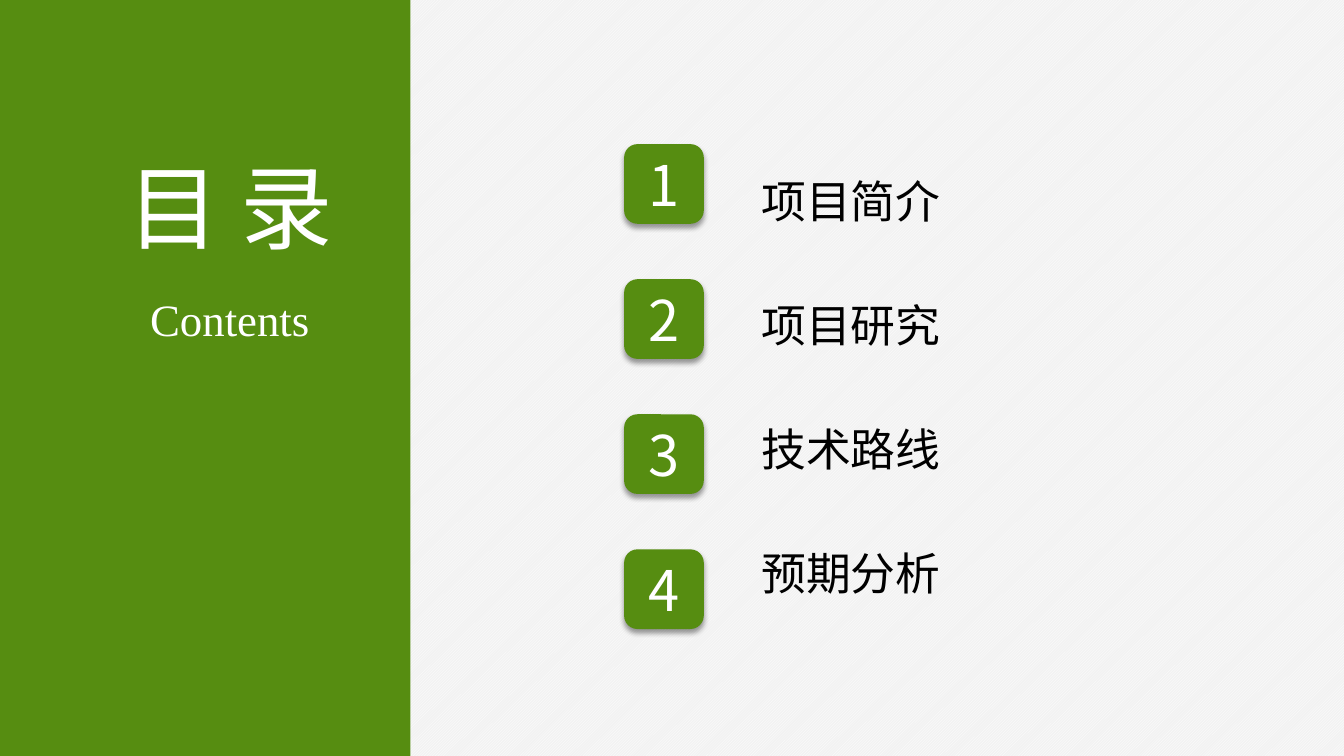
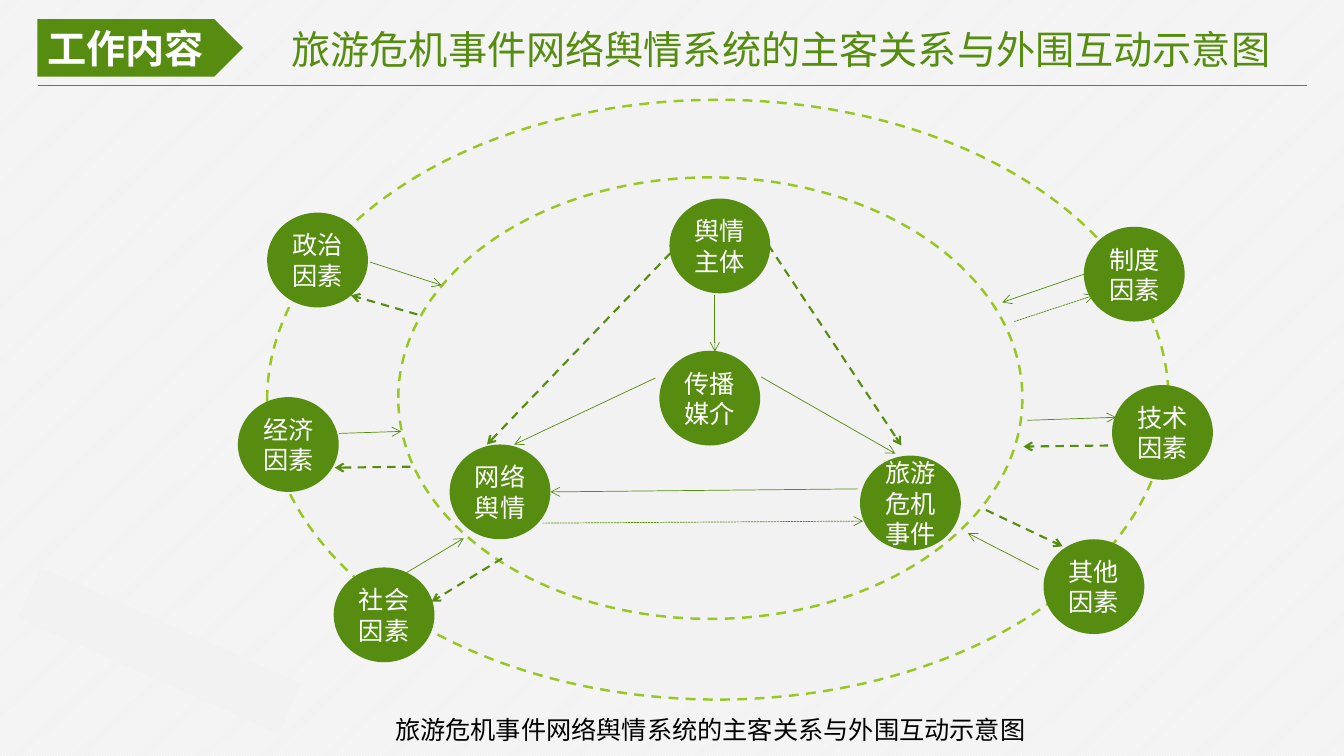
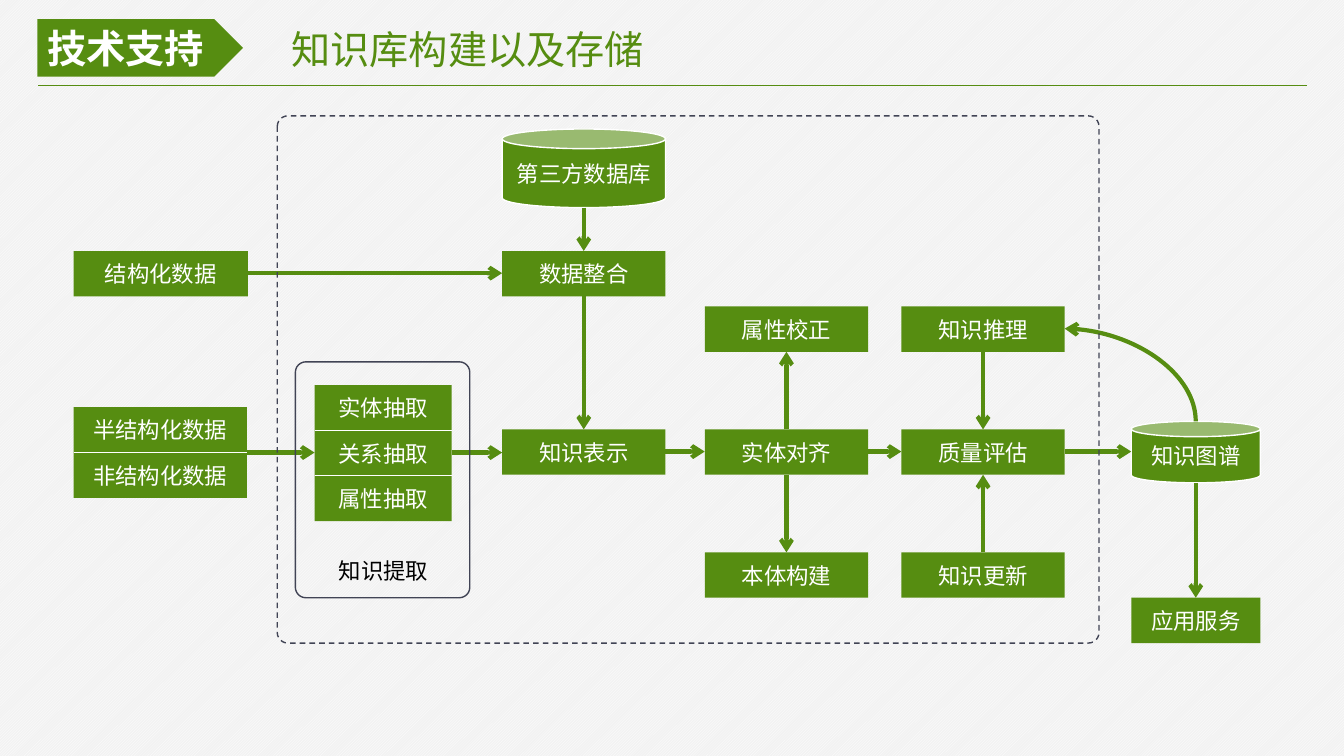
from dataclasses import dataclass
from itertools import pairwise
from typing import Optional

from lxml.etree import SubElement
from pptx import Presentation
from pptx.dml.color import RGBColor
from pptx.enum.dml import MSO_LINE, MSO_PATTERN
from pptx.enum.shapes import MSO_CONNECTOR, MSO_SHAPE
from pptx.enum.text import MSO_ANCHOR, MSO_AUTO_SIZE, PP_ALIGN
from pptx.oxml.ns import qn
from pptx.util import Emu, Pt

PX = 9144
GREEN, LIME, PALE, WHITE, BLACK, SLATE = (
    "568D11", "98C723", "F2F2F2", "FFFFFF", "000000", "414455")
CJK = "Noto Sans CJK SC"
CELL_H = 45


@dataclass(frozen=True)
class Box:
    """A rectangle in px."""
    left: int
    top: int
    width: int
    height: int

    @property
    def right(self) -> int:
        """Right edge."""
        return self.left + self.width

    @property
    def bottom(self) -> int:
        """Bottom edge."""
        return self.top + self.height

    @property
    def cx(self) -> int:
        """Horizontal centre."""
        return self.left + self.width // 2

    @property
    def cy(self) -> int:
        """Vertical centre."""
        return self.top + self.height // 2

    def emu(self) -> tuple:
        """Left, top, width and height in EMU."""
        return tuple(px(v) for v in (self.left, self.top, self.width, self.height))


@dataclass(frozen=True)
class Stroke:
    """Colour, width in points and dash of a line."""
    color: str
    width: float
    dash: Optional[MSO_LINE] = None


@dataclass(frozen=True)
class Node:
    """A labelled shape of a diagram."""
    label: str
    box: Box
    kind: MSO_SHAPE = MSO_SHAPE.RECTANGLE


THIN = Stroke(GREEN, 0.5)
DOTTED = Stroke(GREEN, 0.5, MSO_LINE.SQUARE_DOT)
DASHED = Stroke(GREEN, 1.5, MSO_LINE.DASH)
RING = Stroke(LIME, 1.75, MSO_LINE.DASH)
FLOW = Stroke(GREEN, 3)
DIVIDER = Stroke(WHITE, 0.5)


def px(value: int) -> Emu:
    """Turn px into EMU."""
    return Emu(value * PX)


def rgb(color: str) -> RGBColor:
    """Turn a hex string into a colour."""
    return RGBColor.from_string(color)


def write(sp, text: str, *, size: int, color: str = WHITE, font: str = CJK,
          bold: bool = False, align=PP_ALIGN.CENTER, wrap: bool = True,
          inset: int = 10, gap: int = 0) -> None:
    """Fill a shape with formatted text, one paragraph a line."""
    tf = sp.text_frame
    tf.auto_size = MSO_AUTO_SIZE.NONE
    tf.word_wrap = wrap
    tf.vertical_anchor = MSO_ANCHOR.MIDDLE
    tf.margin_left = tf.margin_right = px(inset)
    tf.margin_top = tf.margin_bottom = 0
    for i, line in enumerate(text.split("\n")):
        p = tf.add_paragraph() if i else tf.paragraphs[0]
        p.alignment = align
        p.space_before = Pt(gap if i else 0)
        r = p.add_run()
        r.text = line
        r.font.size, r.font.bold, r.font.name = Pt(size), bold, font
        r.font.color.rgb = rgb(color)
        SubElement(r.font._element, qn("a:ea"), typeface=CJK)


def set_stroke(line, stroke: Stroke) -> None:
    """Format a line."""
    line.color.rgb = rgb(stroke.color)
    line.width = Pt(stroke.width)
    if stroke.dash:
        line.dash_style = stroke.dash


def shape(s, kind, box: Box, fill: Optional[str] = GREEN,
          stroke: Optional[Stroke] = None):
    """Draw a preset shape without shadow."""
    sp = s.shapes.add_shape(kind, *box.emu())
    sp.shadow.inherit = False
    if fill:
        sp.fill.solid()
        sp.fill.fore_color.rgb = rgb(fill)
    else:
        sp.fill.background()
    if stroke:
        set_stroke(sp.line, stroke)
    else:
        sp.line.fill.background()
    return sp


def connect(s, x1: int, y1: int, x2: int, y2: int, stroke: Stroke,
            end: Optional[str] = None, kind=MSO_CONNECTOR.STRAIGHT):
    """Draw a connector, with an arrowhead at headEnd or tailEnd."""
    c = s.shapes.add_connector(kind, px(x1), px(y1), px(x2), px(y2))
    set_stroke(c.line, stroke)
    sp_pr = c._element.spPr
    if end:
        SubElement(sp_pr.find(qn("a:ln")), qn(f"a:{end}"), type="arrow")
    SubElement(sp_pr, qn("a:effectLst"))
    return c


def label(s, box: Box, text: str, **fmt) -> None:
    """Add a text box."""
    write(s.shapes.add_textbox(*box.emu()), text, **fmt)


def place(sp, box: Box) -> None:
    """Move a placeholder."""
    sp.left, sp.top, sp.width, sp.height = box.emu()


def add_soft_shadow(sp) -> None:
    """Give a shape a soft shadow straight below it."""
    effects = sp._element.spPr.find(qn("a:effectLst"))
    shadow = SubElement(effects, qn("a:outerShdw"), blurRad=str(Pt(4)),
                        dist=str(Pt(3)), dir="5400000", algn="t", rotWithShape="0")
    color = SubElement(shadow, qn("a:srgbClr"), val=BLACK)
    SubElement(color, qn("a:alpha"), val="40000")


def titled_slide(prs, tag: str, title: str):
    """Add a slide with a tag, a title and a rule."""
    s = prs.slides.add_slide(prs.slide_layouts[5])
    place(s.shapes.title, Box(279, 20, 1017, 57))
    write(s.shapes.title, title, size=28, color=GREEN, align=PP_ALIGN.LEFT)
    plate = shape(s, MSO_SHAPE.PENTAGON, Box(37, 19, 204, 57))
    write(plate, tag, size=28, bold=True, align=PP_ALIGN.LEFT, wrap=False)
    connect(s, 38, 85, 1296, 85, Stroke(GREEN, 1))
    return s


def contents_slide(prs) -> None:
    """Build the table of contents."""
    s = prs.slides.add_slide(prs.slide_layouts[1])
    title, body = s.placeholders
    panel = shape(s, MSO_SHAPE.RECTANGLE, Box(0, 0, 407, 750))
    title._element.addprevious(panel._element)
    place(title, Box(102, 143, 252, 121))
    write(title, "目 录", size=66, wrap=False)
    label(s, Box(138, 284, 180, 64), "Contents", size=32,
          font="Times New Roman", wrap=False)
    topics = ["项目简介", "项目研究", "技术路线", "预期分析"]
    place(body, Box(745, 151, 400, 465))
    write(body, "\n".join(topics), size=32, color=BLACK, align=PP_ALIGN.LEFT, gap=50)
    for p in body.text_frame.paragraphs:
        p_pr = p._p.get_or_add_pPr()
        p_pr.set("marL", "0")
        p_pr.set("indent", "0")
        SubElement(p_pr, qn("a:buNone"))
    for i in range(len(topics)):
        badge = shape(s, MSO_SHAPE.ROUNDED_RECTANGLE, Box(619, 143 + 134 * i, 79, 79))
        add_soft_shadow(badge)
        write(badge, str(i + 1), size=40)


def relations_slide(prs) -> None:
    """Build the diagram of actors inside two rings."""
    caption = "旅游危机事件网络舆情系统的主客关系与外围互动示意图"
    s = titled_slide(prs, "工作内容", caption)
    shape(s, MSO_SHAPE.OVAL, Box(265, 99, 894, 595), PALE, RING)
    shape(s, MSO_SHAPE.OVAL, Box(395, 176, 619, 438), None, RING)
    shape(s, MSO_SHAPE.RECTANGLE, Box(17, 618, 283, 55), PALE).rotation = 24
    actors = [
        ("舆情主体", 664, 197), ("传播媒介", 654, 348), ("网络舆情", 446, 441),
        ("旅游危机事件", 853, 452), ("政治因素", 265, 211), ("经济因素", 236, 394),
        ("社会因素", 331, 563), ("制度因素", 1075, 225), ("技术因素", 1103, 382),
        ("其他因素", 1035, 535),
    ]
    for name, left, top in actors:
        sp = shape(s, MSO_SHAPE.OVAL, Box(left, top, 100, 94))
        write(sp, name, size=18, font="Calibri", inset=5)
    arrows = {
        THIN: [
            (650, 375, 510, 441), (755, 374, 888, 450), (851, 485, 546, 488),
            (709, 293, 709, 349), (367, 260, 438, 283), (336, 430, 398, 428),
            (400, 570, 460, 534), (1084, 269, 994, 300), (1019, 417, 1107, 414),
            (1030, 565, 960, 529),
        ],
        DASHED: [
            (665, 251, 483, 441), (762, 243, 894, 442), (414, 312, 348, 293),
            (407, 463, 332, 464), (498, 554, 428, 597), (1099, 442, 1015, 443),
            (978, 506, 1054, 542),
        ],
        DOTTED: [(538, 519, 856, 517), (1006, 319, 1085, 293)],
    }
    for stroke, ends in arrows.items():
        for points in ends:
            connect(s, *points, stroke, "tailEnd")
    label(s, Box(382, 704, 822, 40), caption, size=18, color=BLACK,
          font="Calibri", align=PP_ALIGN.LEFT)


def draw_node(s, node: Node) -> None:
    """Draw a step or a store of the flow chart."""
    edge = Stroke(WHITE, 1) if node.kind == MSO_SHAPE.CAN else None
    write(shape(s, node.kind, node.box, GREEN, edge), node.label, size=16)


def draw_stack(s, names: list[str], left: int, top: int, width: int) -> Box:
    """Draw cells on top of each other with dividers and return their outline."""
    cells = [Box(left, top + CELL_H * i, width, CELL_H) for i in range(len(names))]
    for name, cell in zip(names, cells):
        draw_node(s, Node(name, cell))
    for upper, _ in pairwise(cells):
        connect(s, left, upper.bottom, upper.right, upper.bottom, DIVIDER)
    return Box(left, top, width, CELL_H * len(names))


def link(s, a: Box, b: Box) -> None:
    """Draw an arrow between boxes, upright if they share a centre line."""
    if abs(a.cx - b.cx) > 5:
        ends = a.right, a.cy, b.left, a.cy
    elif a.top < b.top:
        ends = a.cx, a.bottom, a.cx, b.top
    else:
        ends = a.cx, a.top, a.cx, b.bottom
    connect(s, *ends, FLOW, "tailEnd")


def knowledge_slide(prs) -> None:
    """Build the flow chart of the knowledge base."""
    s = titled_slide(prs, "技术支持", "知识库构建以及存储")
    merge, align, check = 498, 699, 894
    upper, main, lower = 304, 426, 548
    steps = [
        ("数据整合", merge, 249), ("知识表示", merge, main),
        ("属性校正", align, upper), ("实体对齐", align, main), ("本体构建", align, lower),
        ("知识推理", check, upper), ("质量评估", check, main), ("知识更新", check, lower),
    ]
    nodes = [Node(name, Box(x, y, 162, CELL_H)) for name, x, y in steps] + [
        Node("结构化数据", Box(73, 249, 173, CELL_H)),
        Node("第三方数据库", Box(498, 128, 162, 78), MSO_SHAPE.CAN),
        Node("知识图谱", Box(1122, 418, 128, 61), MSO_SHAPE.CAN),
        Node("应用服务", Box(1122, 593, 128, CELL_H)),
    ]
    for node in nodes:
        draw_node(s, node)
    boxes = {node.label: node.box for node in nodes}
    boxes["原始数据"] = draw_stack(s, ["半结构化数据", "非结构化数据"], 73, 404, 172)
    boxes["知识提取"] = draw_stack(
        s, ["实体抽取", "关系抽取", "属性抽取"], 312, 382, 136)
    links = [
        ("第三方数据库", "数据整合"), ("数据整合", "知识表示"), ("结构化数据", "数据整合"),
        ("原始数据", "知识提取"), ("知识提取", "知识表示"), ("知识表示", "实体对齐"),
        ("实体对齐", "属性校正"), ("实体对齐", "本体构建"), ("实体对齐", "质量评估"),
        ("知识推理", "质量评估"), ("知识更新", "质量评估"), ("质量评估", "知识图谱"),
        ("知识图谱", "应用服务"),
    ]
    for start, end in links:
        link(s, boxes[start], boxes[end])
    graph, reasoning = boxes["知识图谱"], boxes["知识推理"]
    curve = connect(s, reasoning.right, reasoning.cy, graph.cx, graph.top, FLOW,
                    "headEnd", MSO_CONNECTOR.CURVE)
    curve._element.spPr.find(qn("a:prstGeom")).set("prst", "curvedConnector2")
    frames = [
        (Box(293, 359, 173, 234), 0.06, Stroke(SLATE, 1)),
        (Box(275, 115, 815, 523), 0.02, Stroke(SLATE, 1, MSO_LINE.DASH)),
    ]
    for box, radius, stroke in frames:
        frame = shape(s, MSO_SHAPE.ROUNDED_RECTANGLE, box, None, stroke)
        frame.adjustments[0] = radius
    label(s, Box(321, 548, 119, 37), "知识提取", size=16, color=BLACK)


def main() -> None:
    """Build and save the presentation."""
    prs = Presentation()
    prs.slide_width, prs.slide_height = px(1333), px(750)
    fill = prs.slide_master.background.fill
    fill.patterned()
    fill.pattern = MSO_PATTERN.LIGHT_UPWARD_DIAGONAL
    fill.fore_color.rgb, fill.back_color.rgb = rgb(WHITE), rgb(PALE)
    contents_slide(prs)
    relations_slide(prs)
    knowledge_slide(prs)
    prs.save("out.pptx")


if __name__ == "__main__":
    main()
